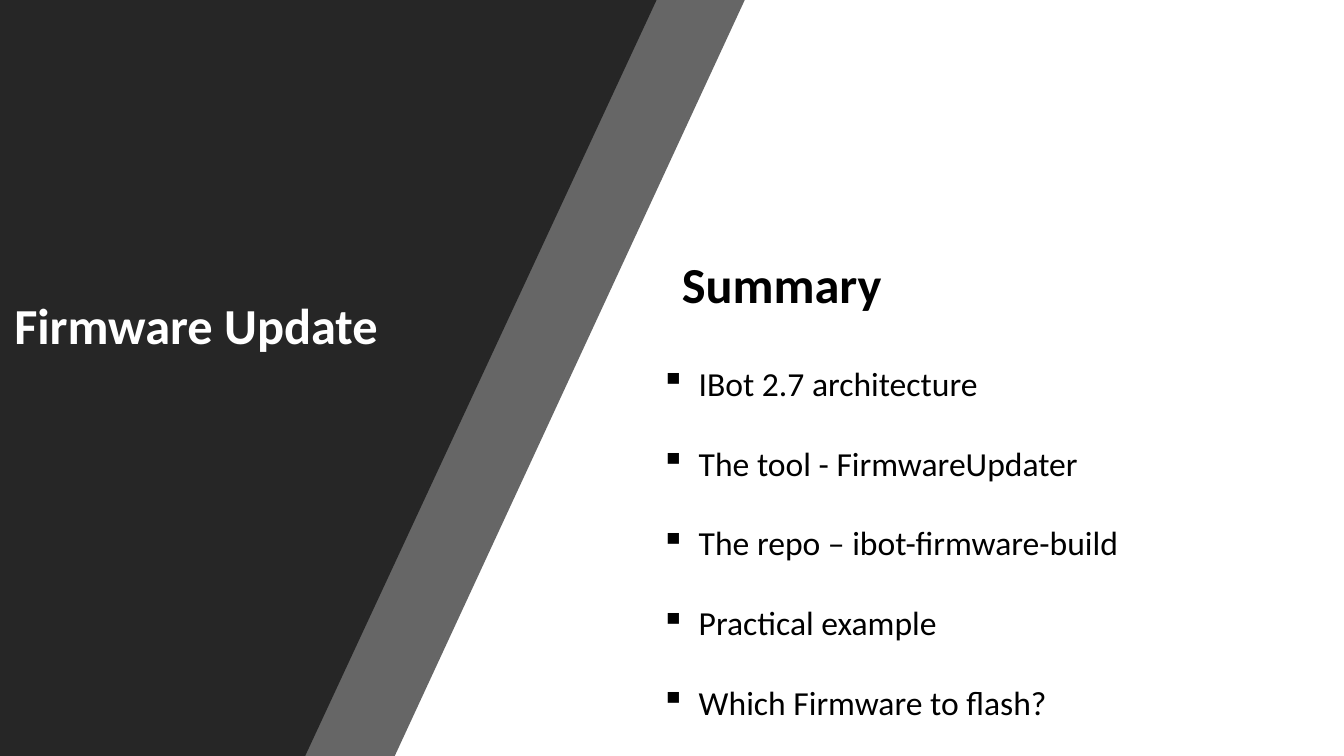
from dataclasses import dataclass

from pptx import Presentation
from pptx.dml.color import RGBColor
from pptx.enum.shapes import MSO_SHAPE
from pptx.enum.text import MSO_ANCHOR, PP_ALIGN
from pptx.oxml.xmlchemy import OxmlElement
from pptx.shapes.autoshape import Shape
from pptx.slide import Slide
from pptx.text.text import TextFrame, _Paragraph as Paragraph
from pptx.util import Pt

BLACK = RGBColor(0x00, 0x00, 0x00)
WHITE = RGBColor(0xFF, 0xFF, 0xFF)
CHARCOAL = RGBColor(0x26, 0x26, 0x26)
FONT = "Calibri"
WIDTH, HEIGHT = 960, 540
BULLET_INDENT = 27
TOPIC_GAP = 28.2
TOPICS = [
    "IBot 2.7 architecture",
    "The tool - FirmwareUpdater",
    "The repo – ibot-firmware-build",
    "Practical example",
    "Which Firmware to flash?",
]


@dataclass
class SlantedPanel:
    top_width: float
    bottom_width: float
    opacity: int


PANELS = [SlantedPanel(532, 281.5, 70), SlantedPanel(468.7, 218.5, 100)]


def fill_plain(sp: Shape, color: RGBColor) -> None:
    sp.shadow.inherit = False
    sp.fill.solid()
    sp.fill.fore_color.rgb = color
    sp.line.fill.background()


def add_panel(s: Slide, panel: SlantedPanel) -> None:
    builder = s.shapes.build_freeform(0, 0, scale=Pt(1))
    builder.add_line_segments(
        [(panel.top_width, 0), (panel.bottom_width, HEIGHT), (0, HEIGHT)]
    )
    sp = builder.convert_to_shape()
    fill_plain(sp, CHARCOAL)
    if panel.opacity < 100:
        alpha = OxmlElement("a:alpha")
        alpha.set("val", str(panel.opacity * 1000))
        sp.fill._xPr.find(".//{*}srgbClr").append(alpha)


def add_text(p: Paragraph, text: str, size: float, color: RGBColor, bold: bool) -> None:
    p.alignment = PP_ALIGN.LEFT
    r = p.add_run()
    r.text = text
    r.font.name = FONT
    r.font.size = Pt(size)
    r.font.bold = bold
    r.font.color.rgb = color


def add_bullet(p: Paragraph) -> None:
    pPr = p._p.get_or_add_pPr()
    pPr.set("marL", str(Pt(BULLET_INDENT)))
    pPr.set("indent", str(-Pt(BULLET_INDENT)))
    bullet = OxmlElement("a:buChar")
    bullet.set("char", "▪")
    pPr.append(bullet)


def fill_topics(tf: TextFrame) -> None:
    tf.word_wrap = True
    for i, topic in enumerate(TOPICS):
        p = tf.add_paragraph() if i else tf.paragraphs[0]
        add_text(p, topic, 24, BLACK, False)
        if i:
            p.space_before = Pt(TOPIC_GAP)
        add_bullet(p)


def format_title(sp: Shape) -> None:
    sp.left, sp.top, sp.width, sp.height = Pt(3), Pt(192), Pt(497), Pt(65.5)
    tf = sp.text_frame
    tf.vertical_anchor = MSO_ANCHOR.BOTTOM
    p = tf.paragraphs[0]
    p.line_spacing = 0.9
    add_text(p, "Firmware Update", 36, WHITE, True)


def add_heading(s: Slide) -> None:
    sp = s.shapes.add_shape(MSO_SHAPE.RECTANGLE, Pt(480), Pt(177), Pt(216), Pt(51))
    fill_plain(sp, WHITE)
    sp.line.color.rgb = WHITE
    sp.line.width = Pt(1)
    tf = sp.text_frame
    tf.word_wrap = True
    tf.vertical_anchor = MSO_ANCHOR.TOP
    add_text(tf.paragraphs[0], "Summary", 36, BLACK, True)


def main() -> None:
    prs = Presentation()
    prs.slide_width, prs.slide_height = Pt(WIDTH), Pt(HEIGHT)
    s = prs.slides.add_slide(prs.slide_layouts[5])
    s.background.fill.solid()
    s.background.fill.fore_color.rgb = BLACK
    title = s.shapes.title

    backdrop = s.shapes.add_shape(MSO_SHAPE.RECTANGLE, 0, 0, Pt(WIDTH), Pt(HEIGHT))
    fill_plain(backdrop, WHITE)
    for panel in PANELS:
        add_panel(s, panel)

    format_title(title)
    s.shapes._spTree.append(title._element)
    topics = s.shapes.add_textbox(Pt(465), Pt(255.5), Pt(497), Pt(349))
    fill_topics(topics.text_frame)
    add_heading(s)
    prs.save("out.pptx")


if __name__ == "__main__":
    main()
